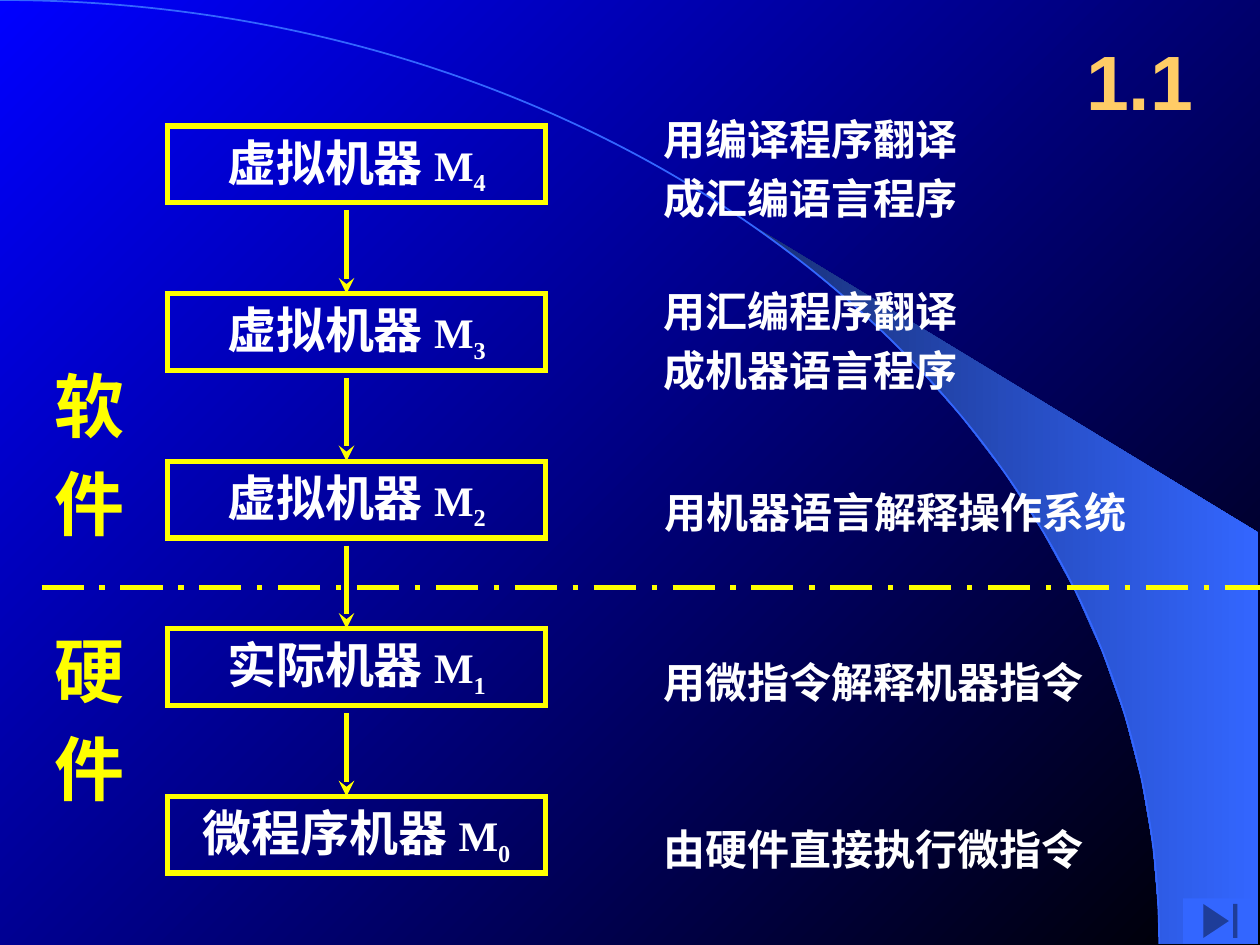
from math import cos, radians, sin

from lxml import etree
from pptx import Presentation
from pptx.dml.color import RGBColor
from pptx.enum.dml import MSO_LINE
from pptx.enum.shapes import MSO_CONNECTOR, MSO_SHAPE
from pptx.enum.text import MSO_ANCHOR, PP_ALIGN
from pptx.oxml.ns import qn
from pptx.util import Inches, Pt

RECTANGLE = MSO_SHAPE.RECTANGLE
END_BUTTON = MSO_SHAPE.ACTION_BUTTON_END
STRAIGHT = MSO_CONNECTOR.STRAIGHT
DASH_DOT = MSO_LINE.LONG_DASH_DOT
CENTER = PP_ALIGN.CENTER
TOP = MSO_ANCHOR.TOP
MIDDLE = MSO_ANCHOR.MIDDLE

CHINESE_FONT = "Noto Sans CJK SC"
WHITE, YELLOW, BLUE = "FFFFFF", "FFFF00", "3366FF"
color = RGBColor.from_string


def add_run(paragraph, text, size, font_name, font_color):
    run = paragraph.add_run()
    run.text = text
    run.font.size = Pt(size)
    run.font.bold = True
    run.font.color.rgb = color(font_color)
    run.font.name = font_name
    east_asian = etree.SubElement(run.font._element, qn("a:ea"))
    east_asian.set("typeface", font_name)
    return run


def add_line(x1, y1, x2, y2):
    line = slide.shapes.add_connector(
        STRAIGHT, Inches(x1), Inches(y1), Inches(x2), Inches(y2))
    line.line.color.rgb = color(YELLOW)
    line.line.width = Pt(3)
    etree.SubElement(line._element.spPr, qn("a:effectLst"))
    return line


presentation = Presentation()
presentation.slide_width = Inches(10)
presentation.slide_height = Inches(7.5)
slide = presentation.slides.add_slide(presentation.slide_layouts[5])

# Background gradient from top left to bottom right
background = slide.background.fill
background.gradient()
background.gradient_angle = 315
for stop, stop_color in zip(background.gradient_stops, ("0000FF", "000000")):
    stop.color.rgb = color(stop_color)

# Beam along the lower part of a quarter ellipse, from 40 to 90 degrees
RADIUS_X, RADIUS_Y = 9.2, 7.49
beam_points = [(Inches(RADIUS_X * sin(radians(angle))),
                Inches(RADIUS_Y * (1 - cos(radians(angle)))))
               for angle in range(40, 91, 4)]
beam_points += [(Inches(RADIUS_X), Inches(RADIUS_Y)),
                (Inches(9.99), Inches(7.49)), (Inches(9.99), Inches(4.23))]
builder = slide.shapes.build_freeform(*beam_points[0])
builder.add_line_segments(beam_points[1:], close=True)
beam = builder.convert_to_shape()
beam.shadow.inherit = False
beam.line.fill.background()
beam.fill.gradient()
beam.fill.gradient_angle = 0
for stop, stop_color in zip(beam.fill.gradient_stops, ("182F76", BLUE)):
    stop.color.rgb = color(stop_color)

# Outline of the ellipse: one Bezier curve through two control points
curve_points = [(5.08, 0), (RADIUS_X, 3.35), (RADIUS_X, RADIUS_Y)]
builder = slide.shapes.build_freeform(0, 0)
builder.add_line_segments(
    [(Inches(x), Inches(y)) for x, y in curve_points], close=False)
arc = builder.convert_to_shape()
outline = arc._element.find(".//" + qn("a:path"))
segments = outline.findall(qn("a:lnTo"))
curve = etree.SubElement(outline, qn("a:cubicBezTo"))
for segment in segments:
    curve.append(segment[0])
    outline.remove(segment)
arc.shadow.inherit = False
arc.fill.background()
arc.line.color.rgb = color(BLUE)
arc.line.width = Pt(1)

# Section number
title = slide.shapes.title
title.left, title.top = Inches(8.42), Inches(0.17)
title.width, title.height = Inches(1.25), Inches(0.92)
title.text_frame.vertical_anchor = MIDDLE
title_paragraph = title.text_frame.paragraphs[0]
title_paragraph.alignment = CENTER
add_run(title_paragraph, "1.1", 44, "Arial", "FFCC66")

# Explanations and side labels: left, top, width, height, size, colour, lines
labels = [
    (5.16, 0.85, 2.55, 0.98, 24, WHITE, ["用编译程序翻译", "成汇编语言程序"]),
    (5.16, 2.22, 2.55, 0.98, 24, WHITE, ["用汇编程序翻译", "成机器语言程序"]),
    (5.16, 3.81, 3.89, 0.5, 24, WHITE, ["用机器语言解释操作系统"]),
    (5.16, 5.16, 3.55, 0.5, 24, WHITE, ["用微指令解释机器指令"]),
    (5.16, 6.49, 3.55, 0.5, 24, WHITE, ["由硬件直接执行微指令"]),
    (0.33, 2.83, 0.76, 1.57, 40, YELLOW, ["软", "件"]),
    (0.33, 4.93, 0.76, 1.57, 40, YELLOW, ["硬", "件"]),
]
for left, top, width, height, size, text_color, lines in labels:
    label = slide.shapes.add_textbox(
        Inches(left), Inches(top), Inches(width), Inches(height))
    frame = label.text_frame
    frame.word_wrap = False
    for index, text in enumerate(lines):
        paragraph = frame.add_paragraph() if index else frame.paragraphs[0]
        paragraph.alignment = CENTER
        if index:
            paragraph.space_before = Pt(size * 0.2)
        add_run(paragraph, text, size, CHINESE_FONT, text_color)

# Border between software and hardware
border = add_line(0.33, 4.66, 10, 4.66)
border.line.dash_style = DASH_DOT

# Machine levels, joined by arrows
machines = ["虚拟机器", "虚拟机器", "虚拟机器", "实际机器", "微程序机器"]
PITCH = 1.33
for index, name in enumerate(machines):
    top = 1 + index * PITCH
    box = slide.shapes.add_shape(
        RECTANGLE, Inches(1.33), Inches(top), Inches(3), Inches(0.61))
    box.shadow.inherit = False
    box.fill.background()
    box.line.color.rgb = color(YELLOW)
    box.line.width = Pt(3)
    corner = etree.SubElement(box.line._get_or_add_ln(), qn("a:miter"))
    corner.set("lim", "800000")
    frame = box.text_frame
    frame.word_wrap = True
    frame.vertical_anchor = TOP
    paragraph = frame.paragraphs[0]
    paragraph.alignment = CENTER
    add_run(paragraph, name + " ", 28, CHINESE_FONT, WHITE)
    add_run(paragraph, "M", 24, "Times New Roman", WHITE)
    level = add_run(paragraph, str(len(machines) - 1 - index), 24,
                    "Times New Roman", WHITE)
    level.font._element.set("baseline", "-25000")
    if index:
        arrow = add_line(2.75, top - 0.66, 2.75, top)
        tail = etree.SubElement(arrow.line._get_or_add_ln(), qn("a:tailEnd"))
        tail.set("type", "stealth")

# Button to the last slide
button = slide.shapes.add_shape(
    END_BUTTON, Inches(9.39), Inches(7.13), Inches(0.59), Inches(0.36))
button.shadow.inherit = False
button.fill.solid()
button.fill.fore_color.rgb = color(BLUE)
button.line.fill.background()

presentation.save("out.pptx")
